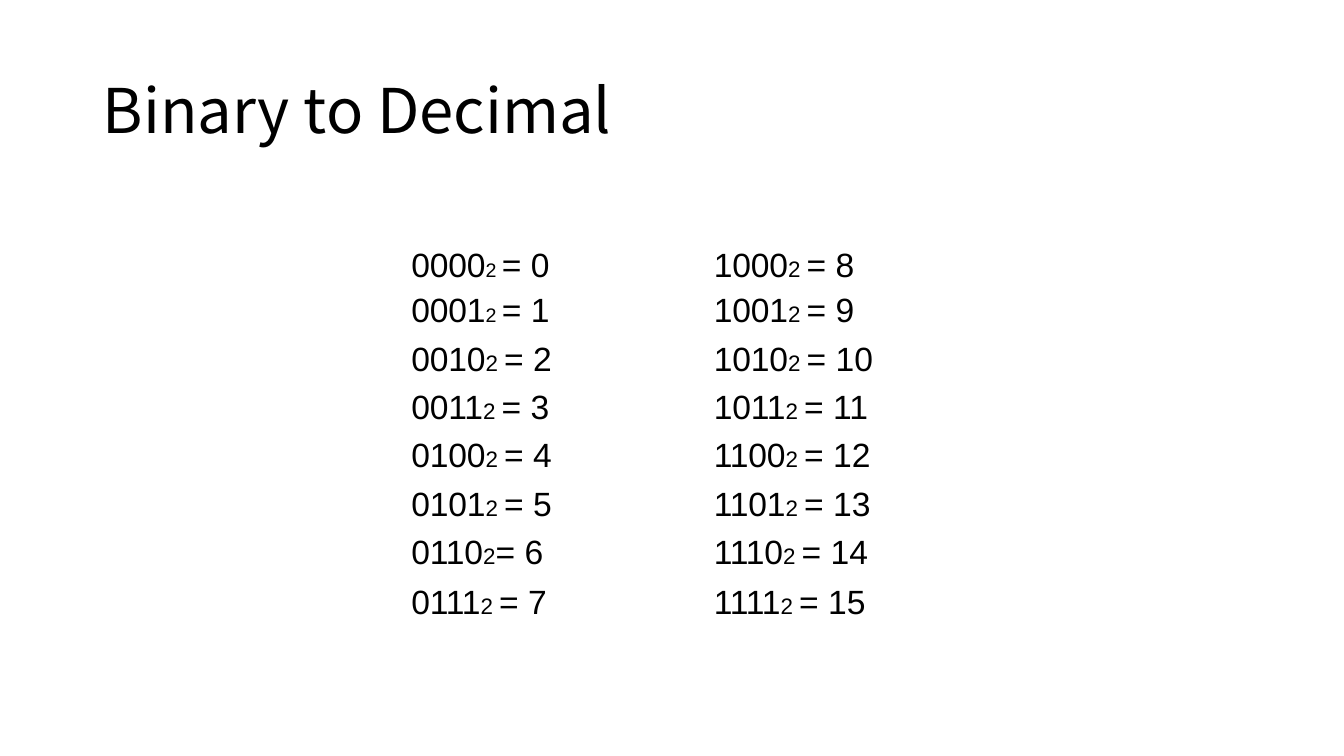
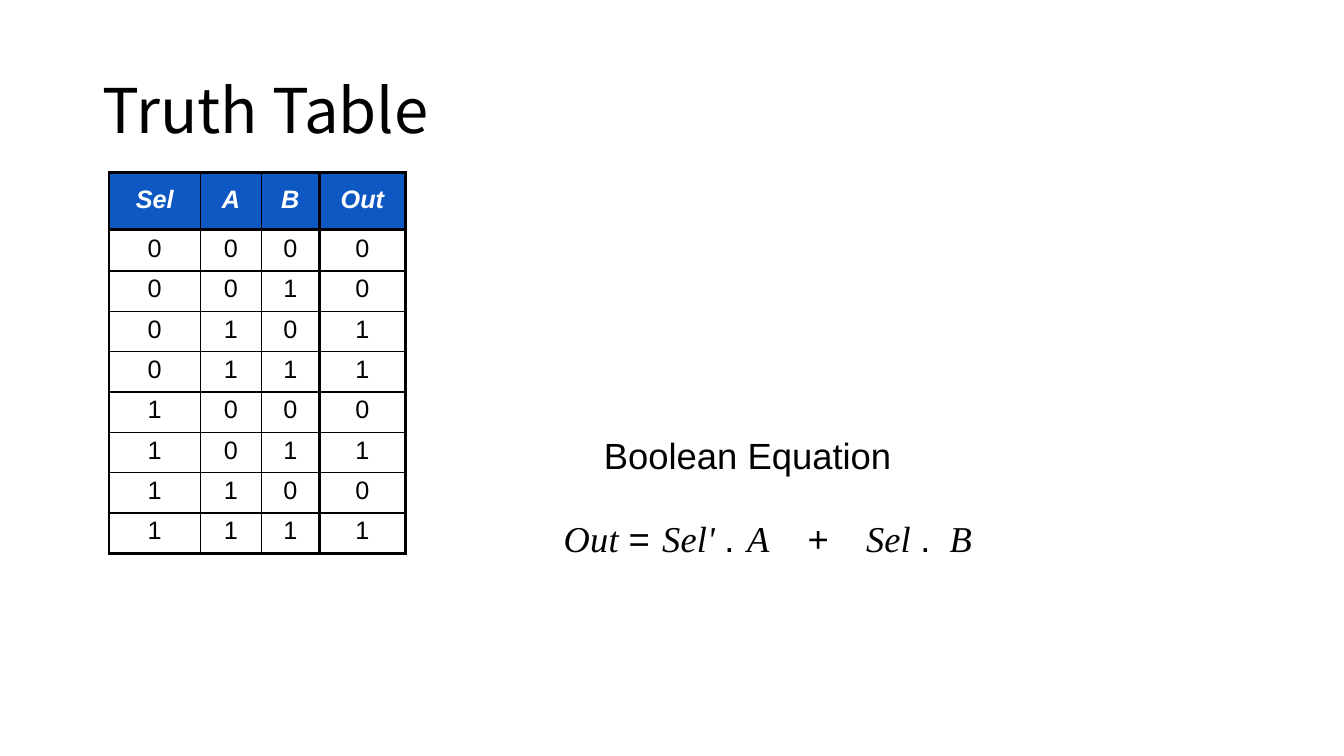
from lxml.etree import SubElement
from pptx import Presentation
from pptx.dml.color import RGBColor
from pptx.enum.text import MSO_ANCHOR, PP_ALIGN
from pptx.oxml.ns import qn
from pptx.util import Inches, Pt

BLACK, WHITE, BLUE = "000000", "FFFFFF", "0E58C4"
TITLE_FONT, BODY_FONT, SYMBOL_FONT = "Noto Sans CJK KR", "Arial", "Times New Roman"
THIN, THICK = 1, 2.25


def color(value):
    """Turn a hex string into a colour."""
    return RGBColor.from_string(value)


def add_run(paragraph, text, size, font=BODY_FONT, ink=BLACK, strong=False, italic=False, spacing=0):
    """Append a formatted run, with letter spacing in points."""
    run = paragraph.add_run()
    run.text = text
    run.font.size = Pt(size)
    run.font.name = font
    run.font.bold = strong
    run.font.italic = italic
    run.font.color.rgb = color(ink)
    properties = run.font._element
    properties.set("spc", str(round(spacing * 100)))
    for tag in ("a:ea", "a:cs"):
        SubElement(properties, qn(tag), typeface=font)


def add_text_box(slide, left, top, width, height):
    """Add a wrapping text box and return its text frame."""
    text_frame = slide.shapes.add_textbox(
        Inches(left), Inches(top), Inches(width), Inches(height)).text_frame
    text_frame.word_wrap = True
    return text_frame


def add_titled_slide(presentation, title):
    """Add a blank slide with the shared title style."""
    slide = presentation.slides.add_slide(presentation.slide_layouts[6])
    text_frame = add_text_box(slide, 0.92, 0.4, 11.5, 1.45)
    text_frame.vertical_anchor = MSO_ANCHOR.MIDDLE
    paragraph = text_frame.paragraphs[0]
    paragraph.line_spacing = 0.9
    add_run(paragraph, title, 44, TITLE_FONT)
    return slide


def add_plain_table(slide, left, top, widths, heights):
    """Add a table without header or band styling."""
    table = slide.shapes.add_table(
        len(heights), len(widths), Inches(left), Inches(top),
        Inches(sum(widths)), Inches(sum(heights))).table
    table.first_row = table.horz_banding = False
    for column, width in zip(table.columns, widths):
        column.width = Inches(width)
    for row, height in zip(table.rows, heights):
        row.height = Inches(height)
    return table


def prepare_cell(cell, top_margin, fill=None):
    """Set cell margins and fill, and return its paragraph."""
    cell.margin_left = cell.margin_right = cell.margin_bottom = 0
    cell.margin_top = Inches(top_margin)
    if fill:
        cell.fill.solid()
        cell.fill.fore_color.rgb = color(fill)
    else:
        cell.fill.background()
    return cell.text_frame.paragraphs[0]


def set_borders(cell, left, right, top, bottom):
    """Draw the four black cell borders at the given point widths."""
    properties = cell._tc.get_or_add_tcPr()
    for side, width in zip("LRTB", (left, right, top, bottom)):
        line = SubElement(properties, qn(f"a:ln{side}"), w=str(Pt(width)))
        fill = SubElement(line, qn("a:solidFill"))
        SubElement(fill, qn("a:srgbClr"), val=BLACK)


def indent(paragraph, distance):
    """Set the left indent of a paragraph in inches."""
    paragraph._p.get_or_add_pPr().set("marL", str(Inches(distance)))


def set_tabs(paragraph, stops):
    """Set left tab stops in inches."""
    tab_list = SubElement(paragraph._p.get_or_add_pPr(), qn("a:tabLst"))
    for stop in stops:
        SubElement(tab_list, qn("a:tab"), pos=str(Inches(stop)), algn="l")


def add_conversion_table(slide):
    """List the four-bit numbers in two columns of eight."""
    table = add_plain_table(slide, 4.05, 2.45, [2.24, 2.44], [0.43] + [0.48] * 6 + [0.43])
    line_heights = {0: Pt(26.6), 7: Pt(28.1)}
    for number in range(16):
        column, row = divmod(number, 8)
        paragraph = prepare_cell(table.cell(row, column), 0.02 if row else 0)
        paragraph.line_spacing = line_heights.get(row)
        indent(paragraph, (0.03, 0.79)[column])
        add_run(paragraph, f"{number:04b}", 24, spacing=-0.1)
        base = "2" if number == 6 else "2 "
        add_run(paragraph, base, 14 if number < 2 else 16, spacing=-0.1)
        add_run(paragraph, f"= {number}", 24)


def add_truth_table(slide):
    """Tabulate the multiplexer output for every input."""
    rows = [("Sel", "A", "B", "Out")]
    for number in range(8):
        select, first, second = (int(bit) for bit in f"{number:03b}")
        rows.append((select, first, second, second if select else first))
    table = add_plain_table(slide, 1.08, 1.71, [0.91, 0.6, 0.58, 0.85],
                            [0.57, 0.41] + [0.4] * 7)
    column_edges = [THICK, THIN, THIN, THICK, THICK]
    row_edges = [THICK, THICK] + [THIN] * 7 + [THICK]
    for row, values in enumerate(rows):
        header = row == 0
        margin = {0: 0.13, 1: 0.05}.get(row, 0.04)
        for column, value in enumerate(values):
            cell = table.cell(row, column)
            set_borders(cell, *column_edges[column:column + 2], *row_edges[row:row + 2])
            paragraph = prepare_cell(cell, margin, BLUE if header else None)
            paragraph.alignment = PP_ALIGN.CENTER
            add_run(paragraph, str(value), 18, ink=WHITE if header else BLACK,
                    strong=header, italic=header)


def add_equation(slide):
    """Write the Boolean equation below its heading."""
    text_frame = add_text_box(slide, 5.58, 4.29, 5.05, 1.28)
    text_frame.margin_left = text_frame.margin_right = text_frame.margin_bottom = 0
    text_frame.margin_top = Inches(0.01)
    heading = text_frame.paragraphs[0]
    heading.space_before = Pt(1)
    indent(heading, 0.41)
    add_run(heading, "Boolean Equation", 26)
    equation = text_frame.add_paragraph()
    equation.space_before = Pt(28)
    indent(equation, 0.01)
    set_tabs(equation, [1.82, 2.42, 3, 3.83])
    parts = [("Out ", 0.2), ("= ", 0.8), ("Sel' ", 0.1), (".\t", 0), ("A\t", 0),
             ("+\t", 0.8), ("Sel ", 0.1), (".\t", 0), ("B", 0)]
    for text, spacing in parts:
        symbol = text[0].isalpha()
        add_run(equation, text, 26, SYMBOL_FONT if symbol else BODY_FONT,
                italic=symbol, spacing=spacing)


def main():
    """Build and save the presentation."""
    presentation = Presentation()
    presentation.slide_width = Inches(13.33)
    presentation.slide_height = Inches(7.5)
    add_conversion_table(add_titled_slide(presentation, "Binary to Decimal"))
    truth_slide = add_titled_slide(presentation, "Truth Table")
    add_truth_table(truth_slide)
    add_equation(truth_slide)
    presentation.save("out.pptx")


if __name__ == "__main__":
    main()
